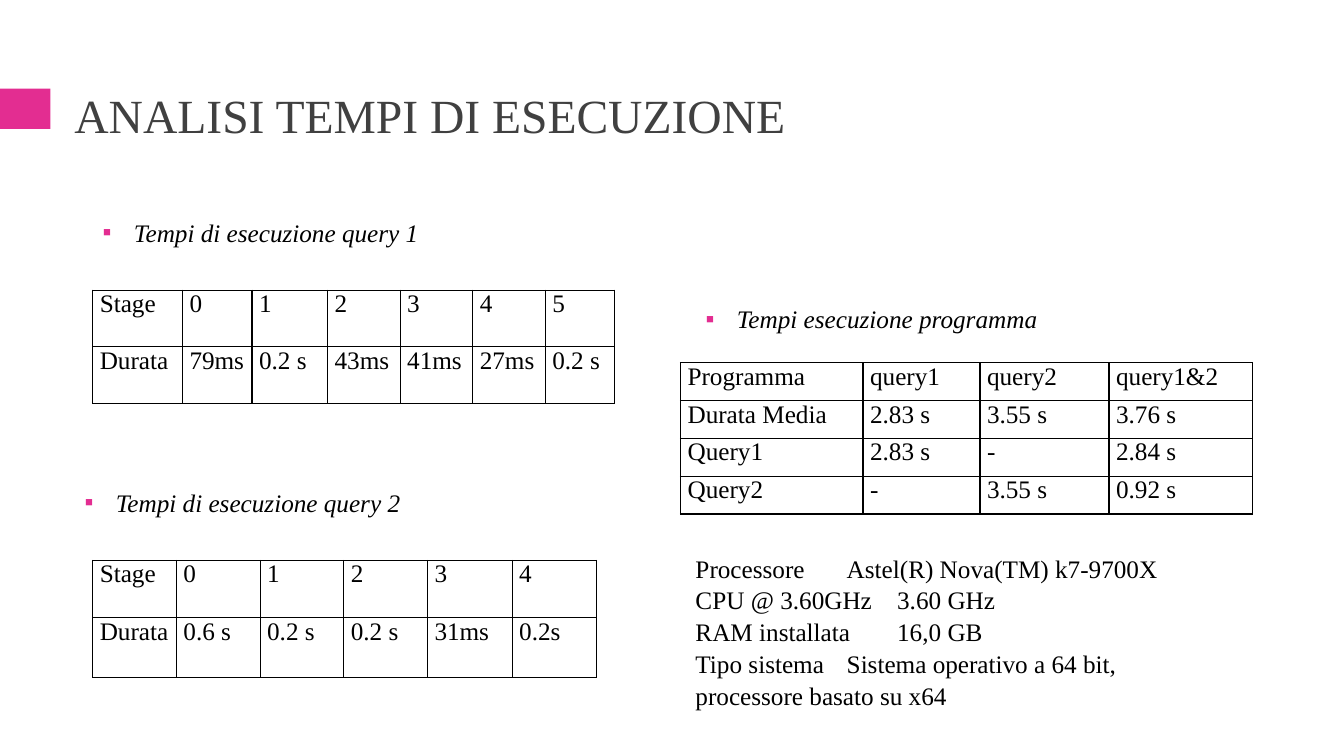
import pptx
import pptx.util
import pptx.dml.color
import pptx.enum.shapes
import pptx.enum.text
import pptx.oxml
import pptx.oxml.ns
from pptx.util import Inches

PINK = pptx.dml.color.RGBColor(0xE3, 0x2D, 0x91)
GRAY = pptx.dml.color.RGBColor(0x40, 0x40, 0x40)
BLACK = pptx.dml.color.RGBColor(0, 0, 0)
NAMESPACE = pptx.oxml.ns.nsdecls("a")


def style_font(paragraph, size=18, color=BLACK, italic=False):
    paragraph.font.name = "Times New Roman"
    paragraph.font.size = pptx.util.Pt(size)
    paragraph.font.color.rgb = color
    paragraph.font.italic = italic


def add_text(left, top, width, height, lines):
    box = slide.shapes.add_textbox(Inches(left), Inches(top), Inches(width), Inches(height))
    box.text_frame.word_wrap = True
    box.text_frame.text = "\n".join(lines)
    for paragraph in box.text_frame.paragraphs:
        paragraph.line_spacing = 1.05
        style_font(paragraph)
    return box.text_frame


deck = pptx.Presentation()
deck.slide_width = Inches(13.33)
deck.slide_height = Inches(7.5)
slide = deck.slides.add_slide(deck.slide_layouts[6])

accent = slide.shapes.add_shape(
    pptx.enum.shapes.MSO_SHAPE.RECTANGLE, 0, Inches(0.88), Inches(0.5), Inches(0.4)
)
accent.shadow.inherit = False
accent.fill.solid()
accent.fill.fore_color.rgb = PINK
accent.line.fill.background()

title = add_text(0.64, 0.77, 12.06, 0.81, ["ANALISI TEMPI DI ESECUZIONE"])
title.vertical_anchor = pptx.enum.text.MSO_ANCHOR.MIDDLE
title.paragraphs[0].line_spacing = 0.9
style_font(title.paragraphs[0], 34, GRAY)

headings = [
    (0.92, 2.09, 4.88, "Tempi di esecuzione query 1"),
    (0.74, 4.77, 4.41, "Tempi di esecuzione query 2"),
    (6.9, 2.95, 5.04, "Tempi esecuzione programma"),
]
for left, top, width, heading in headings:
    paragraph = add_text(left, top, width, 0.4, [heading]).paragraphs[0]
    style_font(paragraph, italic=True)
    properties = paragraph._p.get_or_add_pPr()
    properties.set("marL", str(Inches(0.31)))
    properties.set("indent", str(Inches(-0.31)))
    for bullet in (
        f'<a:buClr {NAMESPACE}><a:srgbClr val="{PINK}"/></a:buClr>',
        f'<a:buFont {NAMESPACE} typeface="Times New Roman"/>',
        f'<a:buChar {NAMESPACE} char="▪"/>',
    ):
        properties.insert_element_before(pptx.oxml.parse_xml(bullet), "a:tabLst", "a:defRPr", "a:extLst")

tables = [
    (0.92, 2.88, [0.89, 0.69, 0.75, 0.72, 0.72, 0.72, 0.69], [0.56, 0.56], [
        ["Stage", "0", "1", "2", "3", "4", "5"],
        ["Durata", "79ms", "0.2 s", "43ms", "41ms", "27ms", "0.2 s"],
    ]),
    (0.92, 5.56, [0.83] * 4 + [0.84] * 2, [0.57, 0.59], [
        ["Stage", "0", "1", "2", "3", "4"],
        ["Durata", "0.6 s", "0.2 s", "0.2 s", "31ms", "0.2s"],
    ]),
    (6.75, 3.6, [1.81, 1.16, 1.28, 1.42], [1.5 / 4] * 4, [
        ["Programma", "query1", "query2", "query1&2"],
        ["Durata Media", "2.83 s", "3.55 s", "3.76 s"],
        ["Query1", "2.83 s", "-", "2.84 s"],
        ["Query2", "-", "3.55 s", "0.92 s"],
    ]),
]
for left, top, widths, heights, rows in tables:
    table = slide.shapes.add_table(
        len(rows), len(widths), Inches(left), Inches(top), Inches(sum(widths)), Inches(sum(heights))
    ).table
    table.first_row = False
    table.horz_banding = False
    for column, width in zip(table.columns, widths):
        column.width = Inches(width)
    for row, height, values in zip(table.rows, heights, rows):
        row.height = Inches(height)
        for cell, value in zip(row.cells, values):
            cell.text = value
            cell.margin_left = cell.margin_right = Inches(0.07)
            cell.margin_top = cell.margin_bottom = 0
            paragraph = cell.text_frame.paragraphs[0]
            paragraph.alignment = pptx.enum.text.PP_ALIGN.JUSTIFY
            style_font(paragraph)
            for side in ("lnL", "lnR", "lnT", "lnB"):
                cell._tc.get_or_add_tcPr().append(pptx.oxml.parse_xml(
                    f'<a:{side} {NAMESPACE} w="{pptx.util.Pt(1)}"><a:solidFill>'
                    f'<a:srgbClr val="{BLACK}"/></a:solidFill></a:{side}>'
                ))
            cell.fill.background()

add_text(6.8, 5.42, 5.24, 1.62, [
    "Processore\tAstel(R) Nova(TM) k7-9700X CPU @ 3.60GHz\t3.60 GHz",
    "RAM installata\t16,0 GB",
    "Tipo sistema\tSistema operativo a 64 bit, processore basato su x64",
])

deck.save("out.pptx")
